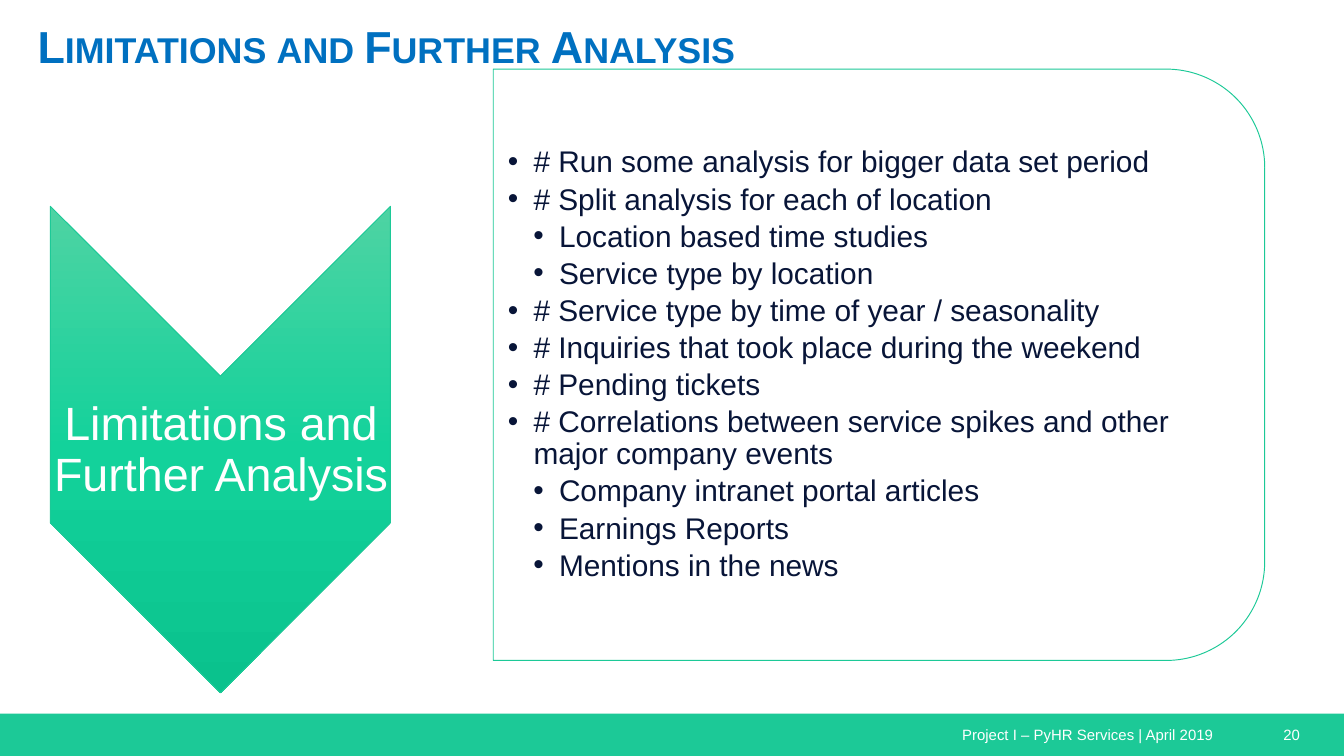
"""Build the slide on limitations and further analysis."""
from pptx import Presentation
from pptx.dml.color import RGBColor as Rgb
from pptx.enum.shapes import MSO_SHAPE as Geo
from pptx.enum.text import MSO_ANCHOR as Anchor, MSO_AUTO_SIZE as Fit, PP_ALIGN as Align
from pptx.oxml import parse_xml
from pptx.oxml.ns import nsdecls, qn
from pptx.util import Inches, Pt
from lxml.etree import SubElement as Sub

HUE = {"green": "1CC997", "light": "4ED3A3", "mid": "13D29B", "deep": "0AC28D",
       "blue": "0070C0", "navy": "081538", "white": "FFFFFF"}

deck = Presentation()
deck.slide_width, deck.slide_height = Inches(10), Inches(5.625)
wide, high = deck.slide_width / 100, deck.slide_height / 100
slide = deck.slides.add_slide(deck.slide_layouts[5])
shapes = slide.shapes


def area(x, y, w, h):
    """Turn percentages of the slide into lengths."""
    return int(x * wide), int(y * high), int(w * wide), int(h * high)


def write(box, rows, size, hue, pad, bold=False, **looks):
    """Fill a box with paragraphs in one format."""
    frame = box.text_frame
    frame.text = "\n".join(rows)
    sides = ("margin_left", "margin_top", "margin_right", "margin_bottom")
    form = dict(zip(sides, map(Inches, pad)), word_wrap=True, auto_size=Fit.NONE,
                vertical_anchor=looks.pop("anchor", Anchor.TOP))
    for key, val in form.items():
        setattr(frame, key, val)
    for para in frame.paragraphs:
        for key, val in looks.items():
            setattr(para, key, val)
        font = para.runs[0].font
        for key, val in {"name": "Arial", "size": Pt(size), "bold": bold}.items():
            setattr(font, key, val)
        font.color.rgb = Rgb.from_string(HUE[hue])
    return frame


bar = shapes.add_shape(Geo.RECTANGLE, *area(0, 94.4, 100, 5.6))
bar.line.fill.background()
arrow = shapes.add_shape(Geo.CHEVRON, *area(-1.7, 36.98, 36.2, 44.98))
panel = shapes.add_shape(Geo.ROUND_2_SAME_RECTANGLE, *area(43.4, -2.76, 44, 102.04))

for shape, hue in ((bar, "green"), (arrow, "mid"), (panel, "white")):
    shape.shadow.inherit = False
    shape.fill.solid()
    shape.fill.fore_color.rgb = Rgb.from_string(HUE[hue])
for shape in (arrow, panel):
    shape.rotation = 90
    shape.line.color.rgb = Rgb.from_string(HUE["green"])
    shape.line.width = Pt(0.5)

tint = panel.fill._xPr.find(qn("a:solidFill"))[0]
Sub(tint, qn("a:alpha"), val="90000")

stops = "".join(f'<a:gs pos="{pos}"><a:srgbClr val="{HUE[hue]}"/></a:gs>'
                for pos, hue in ((0, "light"), (50000, "mid"), (100000, "deep")))
fade = parse_xml(f'<a:gradFill {nsdecls("a")} rotWithShape="0"><a:gsLst>{stops}</a:gsLst>'
                 '<a:lin ang="5400000" scaled="0"/></a:gradFill>')
solid = arrow._element.spPr.find(qn("a:solidFill"))
solid.getparent().replace(solid, fade)

name = "Limitations and Further Analysis"
title = shapes.title
title.left, title.top, title.width, title.height = area(1.8, 0, 62.5, 14.4)
head = write(title, [name], 24, "blue", (0.1, 0.14, 0.1, 0.1), True, alignment=Align.LEFT)
head.paragraphs[0].runs[0]._r.get_or_add_rPr().set("cap", "small")

label = shapes.add_textbox(*area(3.8, 49.96, 25.3, 19.38))
write(label, [name], 25, "white", (0, 0.02, 0, 0.02), anchor=Anchor.MIDDLE,
      alignment=Align.CENTER, line_spacing=0.9)

items = (
    (1, "# Run some analysis for bigger data set period"),
    (1, "# Split analysis for each of location"),
    (2, "Location based time studies"),
    (2, "Service type by location"),
    (1, "# Service type by time of year / seasonality"),
    (1, "# Inquiries that took place during the weekend"),
    (1, "# Pending tickets"),
    (1, "# Correlations between service spikes and other major company events"),
    (2, "Company intranet portal articles"),
    (2, "Earnings Reports"),
    (2, "Mentions in the news"),
)
notes = shapes.add_textbox(*area(36.6, 12.98, 55.3, 70.58))
body = write(notes, [text for _, text in items], 16, "navy", (0.12, 0.01, 0.01, 0.01),
             anchor=Anchor.MIDDLE, line_spacing=0.9, space_after=Pt(2.6))
step = Inches(0.19)
for para, (level, _) in zip(body.paragraphs, items):
    para.level = level
    props = para._p.get_or_add_pPr()
    props.set("marL", str(level * step))
    props.set("indent", str(-step))
    Sub(props, qn("a:buFont"), typeface="Arial")
    Sub(props, qn("a:buChar"), char="•")

for text, spot in (("Project I – PyHR Services | April 2019", (70.6, 95.1, 23.2, 4.27)),
                   ("20", (94.5, 95.1, 5.5, 4.27))):
    write(shapes.add_textbox(*area(*spot)), [text], 8, "white", (0.1, 0.05, 0.1, 0.05))

deck.save("out.pptx")
